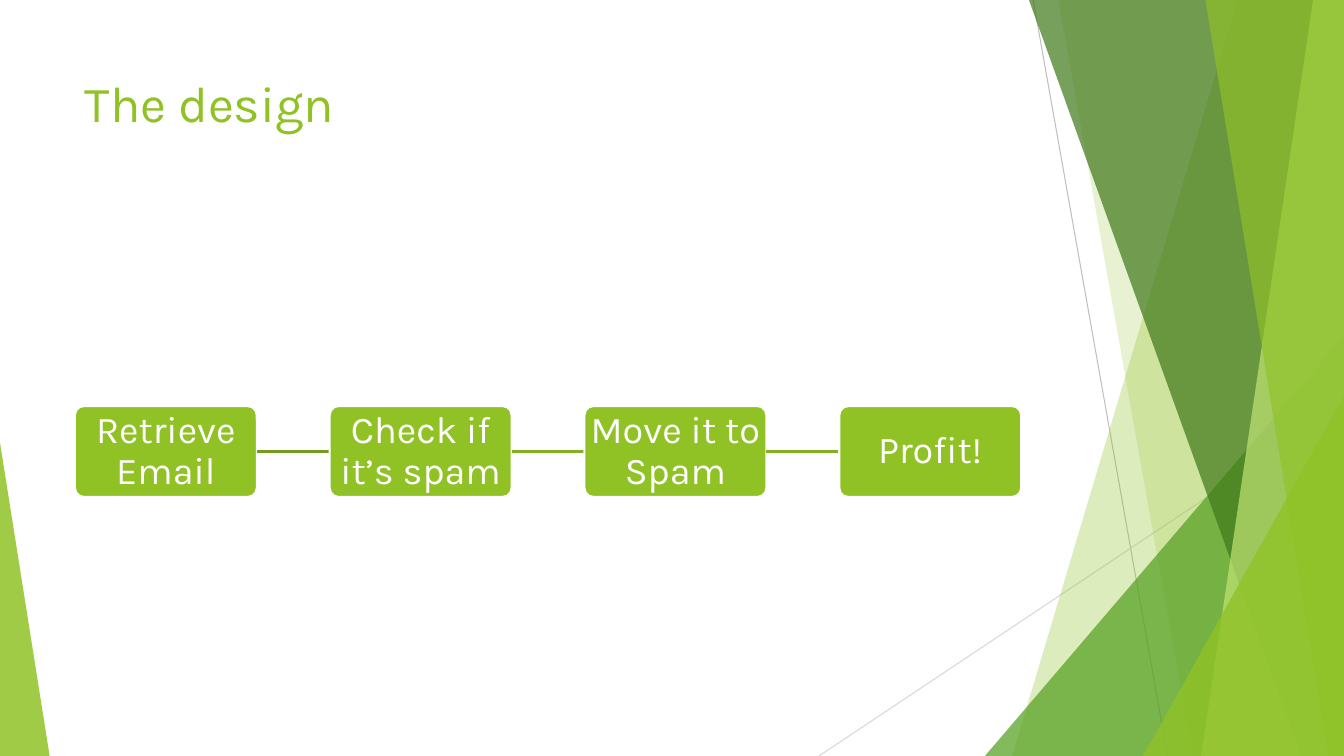
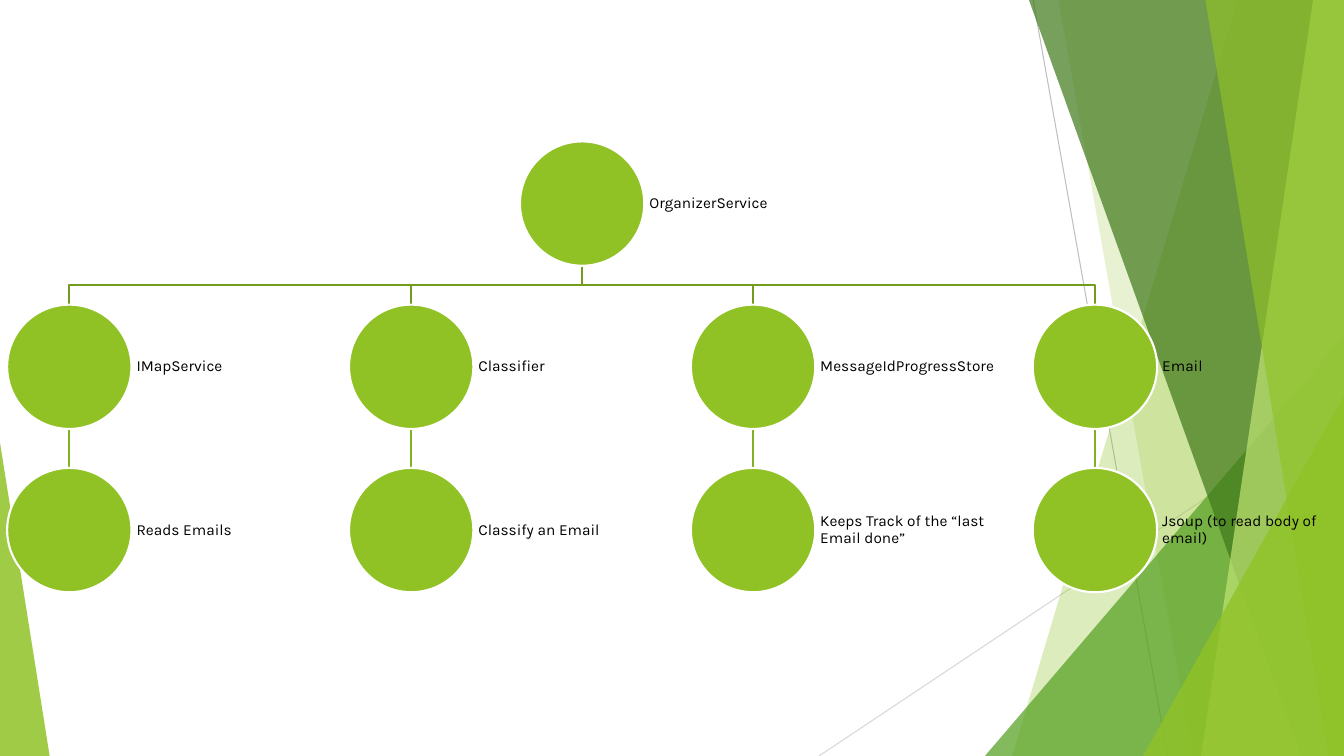
from lxml import etree
from pptx import Presentation
from pptx.dml.color import RGBColor
from pptx.enum.shapes import MSO_CONNECTOR, MSO_SHAPE
from pptx.enum.text import MSO_ANCHOR, PP_ALIGN
from pptx.oxml.ns import qn
from pptx.util import Pt

STRAIGHT = MSO_CONNECTOR.STRAIGHT
ROUND = MSO_SHAPE.ROUNDED_RECTANGLE
OVAL = MSO_SHAPE.OVAL
WEDGE = MSO_SHAPE.ISOSCELES_TRIANGLE
TOP, MIDDLE = MSO_ANCHOR.TOP, MSO_ANCHOR.MIDDLE
LEFT, CENTER = PP_ALIGN.LEFT, PP_ALIGN.CENTER

LIME = RGBColor(0x90, 0xC2, 0x26)
PALE = RGBColor(0xC0, 0xE4, 0x74)
GREEN = RGBColor(0x54, 0xA0, 0x21)
DARK = RGBColor(0x3F, 0x78, 0x19)
OLIVE = RGBColor(0x73, 0x9B, 0x1E)
MOSS = RGBColor(0x83, 0xB0, 0x22)
GRAY = RGBColor(0xBF, 0xBF, 0xBF)
SILVER = RGBColor(0xD9, 0xD9, 0xD9)
WHITE = RGBColor(0xFF, 0xFF, 0xFF)
BLACK = RGBColor(0, 0, 0)
FONT = "Karla"

WIDTH, HEIGHT = 960, 540
DISC = 88.8
LABEL = 133.2
FIRST, ACROSS = 49.5, 244.2
HEAD, DOWN = 101, 116.6

STEPS = ["Retrieve Email", "Check if it’s spam", "Move it to Spam", "Profit!"]
ROOT = "OrganizerService"
PARTS = [
    ("IMapService", "Reads Emails"),
    ("Classifier", "Classify an Email"),
    ("MessageIdProgressStore", "Keeps Track of the “last Email done”"),
    ("Email", "Jsoup (to read body of email)"),
]


def paint(shape, color, alpha=100):
    shape.shadow.inherit = False
    shape.fill.solid()
    shape.fill.fore_color.rgb = color
    shape.line.fill.background()
    if alpha < 100:
        tint = shape.fill._xPr.find(qn("a:solidFill"))[0]
        etree.SubElement(tint, qn("a:alpha")).set("val", str(alpha * 1000))


def edge(shape, color, width=1.5):
    shape.line.color.rgb = color
    shape.line.width = Pt(width)


def add_line(slide, x1, y1, x2, y2, color, width=1.5):
    line = slide.shapes.add_connector(STRAIGHT, Pt(x1), Pt(y1), Pt(x2), Pt(y2))
    edge(line, color, width)
    etree.SubElement(line._element.spPr, qn("a:effectLst"))
    return line


def add_path(slide, points, close):
    start, *rest = [(Pt(x), Pt(y)) for x, y in points]
    pen = slide.shapes.build_freeform(*start)
    pen.add_line_segments(rest, close=close)
    return pen.convert_to_shape()


def add_band(slide, top, base, color, alpha):
    points = [(top, 0), (WIDTH, 0), (WIDTH, HEIGHT), (base, HEIGHT)]
    paint(add_path(slide, points, True), color, alpha)


def add_wedge(slide, x, y, width, apex, color, alpha):
    shape = slide.shapes.add_shape(WEDGE, Pt(x), Pt(y), Pt(width), Pt(HEIGHT - y))
    shape.adjustments[0] = apex
    paint(shape, color, alpha)


def add_scene(slide):
    add_line(slide, 738, 0, 834, HEIGHT, GRAY, 0.75)
    add_line(slide, WIDTH, 290, 585, HEIGHT, SILVER, 0.75)
    add_band(slide, 884, 723, LIME, 30)
    add_band(slide, 756, 852, LIME, 20)
    add_wedge(slide, 703.5, 240, 256.5, 1, GREEN, 72)
    add_band(slide, 735, 929.5, DARK, 70)
    add_band(slide, 938, 858, PALE, 70)
    add_band(slide, 861, 949, LIME, 65)
    add_wedge(slide, 816.5, 283, 143.5, 1, LIME, 80)
    add_wedge(slide, 0, 316, 35.5, 0, LIME, 85)


def write(shape, text, size, color, inset, align=LEFT, anchor=MIDDLE, space=0.9):
    frame = shape.text_frame
    frame.word_wrap = True
    frame.vertical_anchor = anchor
    frame.margin_left = frame.margin_right = Pt(inset[0])
    frame.margin_top = frame.margin_bottom = Pt(inset[1])
    para = frame.paragraphs[0]
    para.alignment = align
    para.line_spacing = space
    run = para.add_run()
    run.text = text
    run.font.name = FONT
    run.font.size = Pt(size)
    run.font.color.rgb = color


def add_text(slide, x, y, width, height, text, size, color, inset, **style):
    box = slide.shapes.add_textbox(Pt(x), Pt(y), Pt(width), Pt(height))
    write(box, text, size, color, inset, **style)


def add_step(slide, x, y, width, height, text):
    box = slide.shapes.add_shape(ROUND, Pt(x), Pt(y), Pt(width), Pt(height))
    box.adjustments[0] = 0.1
    paint(box, LIME)
    edge(box, WHITE)
    write(box, text, 27, WHITE, (1.5, 1.5), align=CENTER)
    return box


def add_flow(slide, steps):
    left, top, width, height, gap = 53.5, 290, 130, 65, 52
    line = None
    for i, text in enumerate(steps):
        x = left + i * (width + gap)
        box = add_step(slide, x, top, width, height, text)
        if line:
            line.end_connect(box, 1)
        if i < len(steps) - 1:
            end = x + width
            mid = top + height / 2
            line = add_line(slide, end, mid, end + gap, mid, MOSS if i else OLIVE)
            line.begin_connect(box, 3)


def add_elbow(slide, x1, y1, x2, y2):
    mid = (y1 + y2) / 2
    path = add_path(slide, [(x1, y1), (x1, mid), (x2, mid), (x2, y2)], False)
    path.shadow.inherit = False
    path.fill.background()
    edge(path, OLIVE)


def add_node(slide, mid, top, text):
    x = mid - DISC / 2
    disc = slide.shapes.add_shape(OVAL, Pt(x), Pt(top), Pt(DISC), Pt(DISC))
    paint(disc, LIME)
    edge(disc, WHITE)
    add_text(slide, x + DISC, top, LABEL, DISC, text, 11, BLACK, (3.6, 3.6))


def add_tree(slide, root, parts):
    mids = [FIRST + i * ACROSS for i in range(len(parts))]
    tops = [HEAD + i * DOWN for i in range(3)]
    center = (mids[0] + mids[-1]) / 2
    for mid in reversed(mids):
        add_line(slide, mid, tops[1] + DISC, mid, tops[2], MOSS)
        add_elbow(slide, center, tops[0] + DISC, mid, tops[1])
    add_node(slide, center, tops[0], root)
    for mid, texts in zip(mids, parts):
        for top, text in zip(tops[1:], texts):
            add_node(slide, mid, top, text)


def add_slide(deck):
    slide = deck.slides.add_slide(deck.slide_layouts[6])
    add_scene(slide)
    return slide


def main():
    deck = Presentation()
    deck.slide_width, deck.slide_height = Pt(WIDTH), Pt(HEIGHT)
    slide = add_slide(deck)
    add_text(slide, 53.5, 48, 677, 104, "The design", 36, LIME, (7.2, 3.6),
             anchor=TOP, space=1.0)
    add_flow(slide, STEPS)
    add_tree(add_slide(deck), ROOT, PARTS)
    deck.save("out.pptx")


if __name__ == "__main__":
    main()
